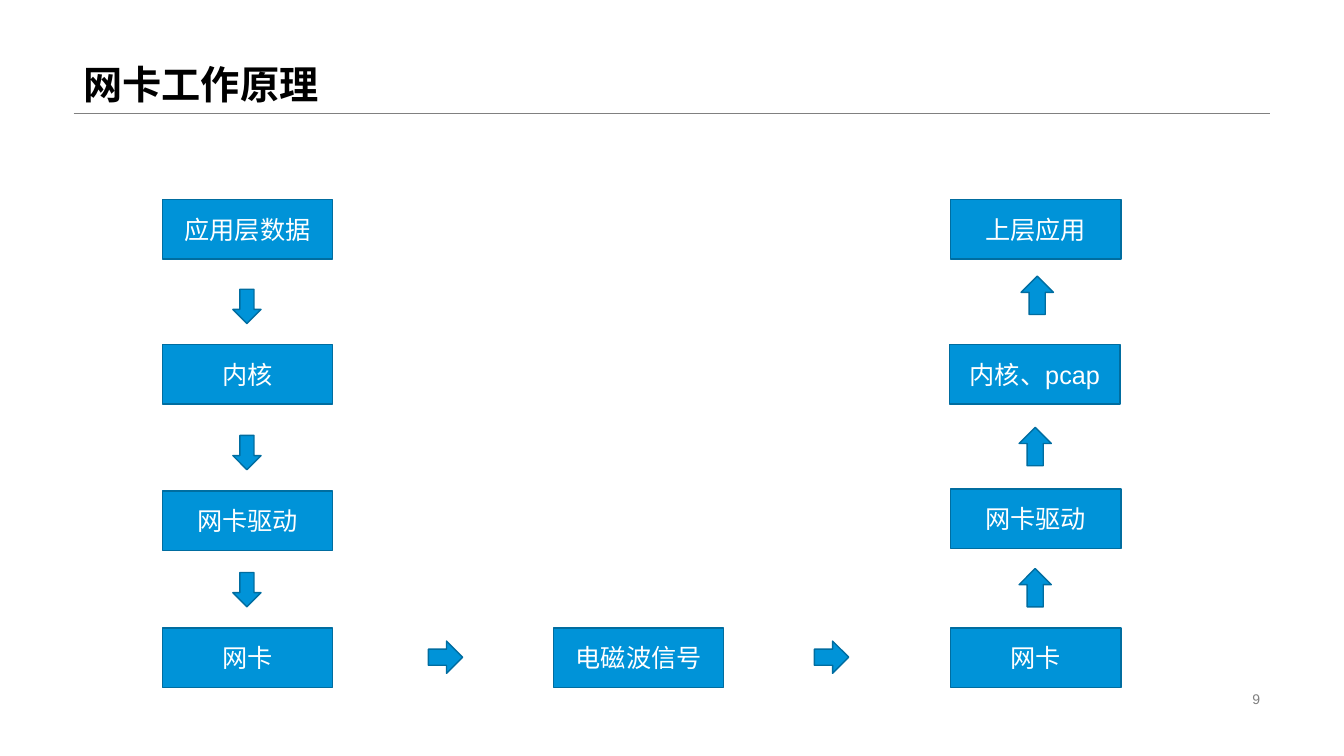
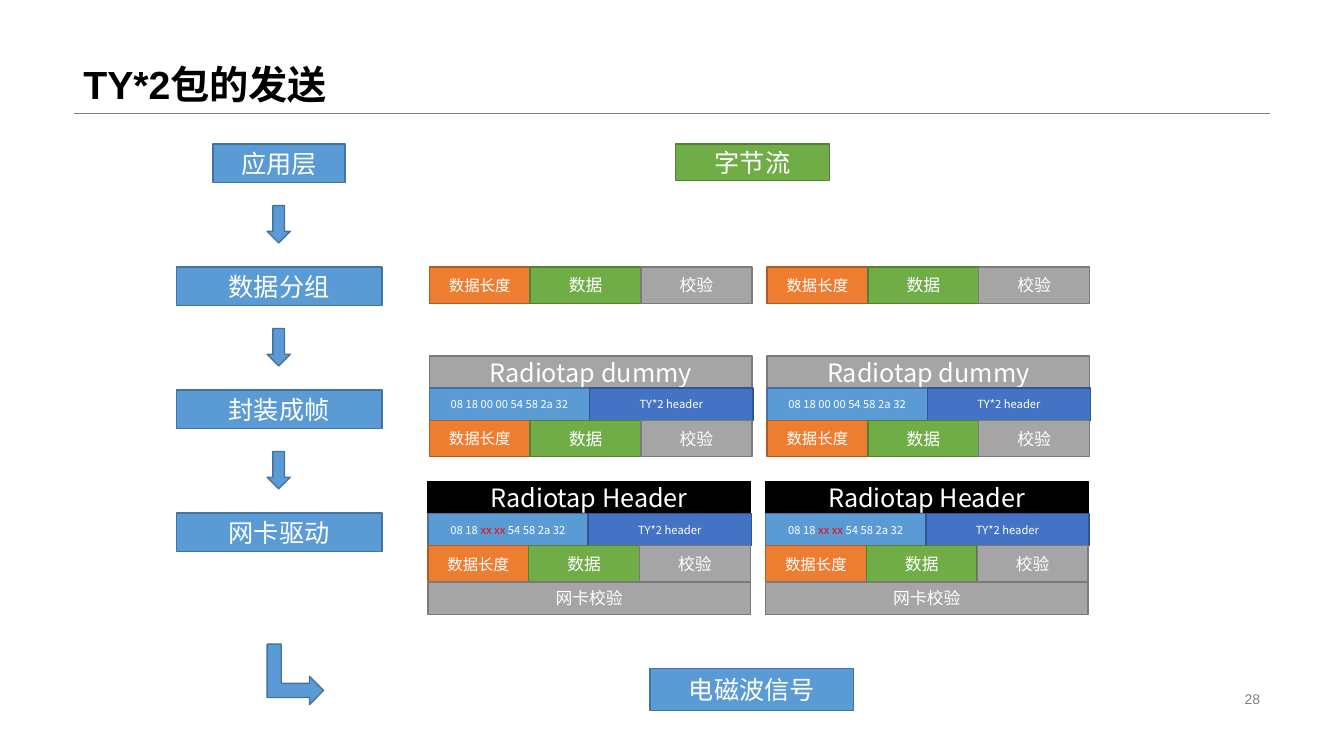
from dataclasses import dataclass
from typing import NamedTuple

import pptx
import pptx.dml.color
import pptx.enum.shapes
import pptx.enum.text
import pptx.oxml.ns
import pptx.util
from lxml import etree

RGB = pptx.dml.color.RGBColor
Shape = pptx.enum.shapes.MSO_SHAPE
Align = pptx.enum.text.PP_ALIGN
Anchor = pptx.enum.text.MSO_ANCHOR

CELL = pptx.util.Inches(0.1)
SLIDE_COLS, SLIDE_ROWS = 133.33, 75
MARGIN, RULE_ROW, CONTENT_COLS = 7.3, 11.2, 118.7

BLACK = RGB(0x00, 0x00, 0x00)
WHITE = RGB(0xFF, 0xFF, 0xFF)
RED = RGB(0xFF, 0x00, 0x00)
MID_GREY = RGB(0x80, 0x80, 0x80)
LATIN, CJK = "Arial", "Noto Sans CJK SC"


class Area(NamedTuple):
    col: float
    row: float
    cols: float
    rows: float


class Paint(NamedTuple):
    fill: RGB
    line: RGB


class Run(NamedTuple):
    text: str
    color: RGB = WHITE


@dataclass(frozen=True)
class Field:
    runs: tuple[Run, ...]
    cols: float
    paint: Paint
    size: float


@dataclass(frozen=True)
class Layer:
    rows: float
    fields: tuple[Field, ...]


@dataclass(frozen=True)
class Packet:
    col: float
    row: float
    layers: tuple[Layer, ...]


AZURE = Paint(RGB(0x00, 0x93, 0xD8), RGB(0x00, 0x6D, 0xA0))
BLUE = Paint(RGB(0x5B, 0x9B, 0xD5), RGB(0x43, 0x73, 0x9E))
INDIGO = Paint(RGB(0x44, 0x72, 0xC4), RGB(0x32, 0x54, 0x91))
GREEN = Paint(RGB(0x70, 0xAD, 0x47), RGB(0x53, 0x80, 0x35))
ORANGE = Paint(RGB(0xED, 0x7D, 0x31), RGB(0xAF, 0x5C, 0x24))
GREY = Paint(RGB(0xA5, 0xA5, 0xA5), RGB(0x7A, 0x7A, 0x7A))
INK = Paint(BLACK, BLACK)


def grid(cells: float) -> int:
    return round(cells * CELL)


def place(area: Area) -> list[int]:
    return [grid(length) for length in area]


def write(shape, runs: tuple[Run, ...], size: float, font: str, anchor=Anchor.MIDDLE,
          align=Align.CENTER, bold: bool = False, spacing: float = 1.0,
          inset: float = 0) -> None:
    frame = shape.text_frame
    paragraph = frame.paragraphs[0]
    frame_format = {"word_wrap": True, "vertical_anchor": anchor,
                    "margin_top": grid(inset), "margin_bottom": grid(inset)}
    for key, value in frame_format.items():
        setattr(frame, key, value)
    for key, value in {"alignment": align, "line_spacing": spacing}.items():
        setattr(paragraph, key, value)
    for text, color in runs:
        run = paragraph.add_run()
        run.text = text
        font_format = {"size": pptx.util.Pt(size), "name": font, "bold": bold}
        for key, value in font_format.items():
            setattr(run.font, key, value)
        run.font.color.rgb = color
        east_asian = etree.SubElement(run.font._element, pptx.oxml.ns.qn("a:ea"))
        east_asian.set("typeface", CJK)


def draw(slide, kind, area: Area, paint: Paint, rotation: float = 0):
    shape = slide.shapes.add_shape(kind, *place(area))
    shape.shadow.inherit = False
    shape.rotation = rotation
    shape.fill.solid()
    shape.fill.fore_color.rgb = paint.fill
    shape.line.color.rgb = paint.line
    shape.line.width = pptx.util.Pt(1)
    return shape


def block(slide, text: str, area: Area, paint: Paint, font: str) -> None:
    write(draw(slide, Shape.RECTANGLE, area, paint), (Run(text),), 18, font)


def start_slide(deck, title: str, number: int):
    slide = deck.slides.add_slide(deck.slide_layouts[6])
    rule = slide.shapes.add_connector(
        pptx.enum.shapes.MSO_CONNECTOR.STRAIGHT, grid(MARGIN), grid(RULE_ROW),
        grid(MARGIN + CONTENT_COLS), grid(RULE_ROW))
    rule.line.color.rgb = MID_GREY
    rule.line.width = pptx.util.Pt(0.25)
    etree.SubElement(rule._element.spPr, pptx.oxml.ns.qn("a:effectLst"))
    heading = slide.shapes.add_textbox(*place(Area(MARGIN, 0, CONTENT_COLS, RULE_ROW)))
    write(heading, (Run(title, BLACK),), 28, LATIN, Anchor.BOTTOM, Align.LEFT,
          bold=True, spacing=0.9, inset=0.5)
    page = slide.shapes.add_textbox(*place(Area(94.2, 68.2, 31.8, 2.3)))
    write(page, (Run(str(number), MID_GREY),), 10, LATIN, align=Align.RIGHT)
    return slide


def build_card_principle(deck) -> None:
    slide = start_slide(deck, "网卡工作原理", 9)
    send_col, receive_col, card_row = 16.1, 94.3, 62.3
    stages = (
        ("应用层数据", send_col, 19.8),
        ("内核", send_col, 34.2),
        ("网卡驱动", send_col, 48.7),
        ("网卡", send_col, card_row),
        ("电磁波信号", 54.9, card_row),
        ("网卡", receive_col, card_row),
        ("网卡驱动", receive_col, 48.5),
        ("内核、pcap", 94.2, 34.2),
        ("上层应用", receive_col, 19.8),
    )
    for text, col, row in stages:
        block(slide, text, Area(col, row, 16.9, 5.9), AZURE, LATIN)
    for _, _, row in stages[1:4]:
        draw(slide, Shape.DOWN_ARROW, Area(23.1, row - 5.5, 2.8, 3.4), AZURE)
    for col, row in ((101.1, 56.4), (101.1, 42.4), (101.3, 27.4)):
        draw(slide, Shape.UP_ARROW, Area(col, row, 3.2, 3.8), AZURE)
    for col in (42.5, 80.8):
        draw(slide, Shape.RIGHT_ARROW, Area(col, 63.6, 3.4, 3.2), AZURE)


def banner(text: str, paint: Paint, size: float) -> Layer:
    return Layer(3.2, (Field((Run(text),), 32, paint, size),))


def header(*address: Run) -> Layer:
    return Layer(3.2, (Field(address, 15.9, BLUE, 8),
                       Field((Run("TY*2 header"),), 16.2, INDIGO, 8)))


PAYLOAD = Layer(3.6, (Field((Run("数据长度"),), 10, ORANGE, 11),
                      Field((Run("数据"),), 11, GREEN, 12),
                      Field((Run("校验"),), 11, GREY, 12)))
PACKETS = (
    Packet(42.6, 26.5, (PAYLOAD,)),
    Packet(42.6, 35.3, (banner("Radiotap dummy", GREY, 18),
                        header(Run("08 18 00 00 54 58 2a 32")), PAYLOAD)),
    Packet(42.45, 47.75, (banner("Radiotap Header", INK, 18),
                          header(Run("08 18 "), Run("xx xx", RED), Run(" 54 58 2a 32")),
                          PAYLOAD, banner("网卡校验", GREY, 12))),
)


def draw_packet(slide, packet: Packet, shift: float) -> None:
    row = packet.row
    for layer in packet.layers:
        col = packet.col + shift
        for field in layer.fields:
            part = draw(slide, Shape.RECTANGLE, Area(col, row, field.cols, layer.rows),
                        field.paint)
            write(part, field.runs, field.size, CJK)
            col += field.cols
        row += layer.rows


def build_packet_sending(deck) -> None:
    slide = start_slide(deck, "TY*2包的发送", 28)
    first_row, pitch, axis = 14.3, 12.2, 27.7
    steps = (("应用层", 13.1), ("数据分组", 20.4), ("封装成帧", 20.4), ("网卡驱动", 20.4))
    for index, (text, cols) in enumerate(steps):
        row = first_row + index * pitch
        block(slide, text, Area(axis - cols / 2, row, cols, 3.8), BLUE, CJK)
        if index < len(steps) - 1:
            draw(slide, Shape.DOWN_ARROW, Area(26.5, row + pitch / 2, 2.3, 3.7), BLUE)
    draw(slide, Shape.BENT_UP_ARROW, Area(26.3, 64.1, 6, 5.6), BLUE, rotation=90)
    block(slide, "电磁波信号", Area(64.5, 66.3, 20.2, 4.2), BLUE, CJK)
    block(slide, "字节流", Area(67, first_row, 15.3, 3.6), GREEN, CJK)
    for packet in PACKETS:
        for shift in (0, 33.5):
            draw_packet(slide, packet, shift)


def main() -> None:
    deck = pptx.Presentation()
    deck.slide_width, deck.slide_height = grid(SLIDE_COLS), grid(SLIDE_ROWS)
    build_card_principle(deck)
    build_packet_sending(deck)
    deck.save("out.pptx")


if __name__ == "__main__":
    main()
